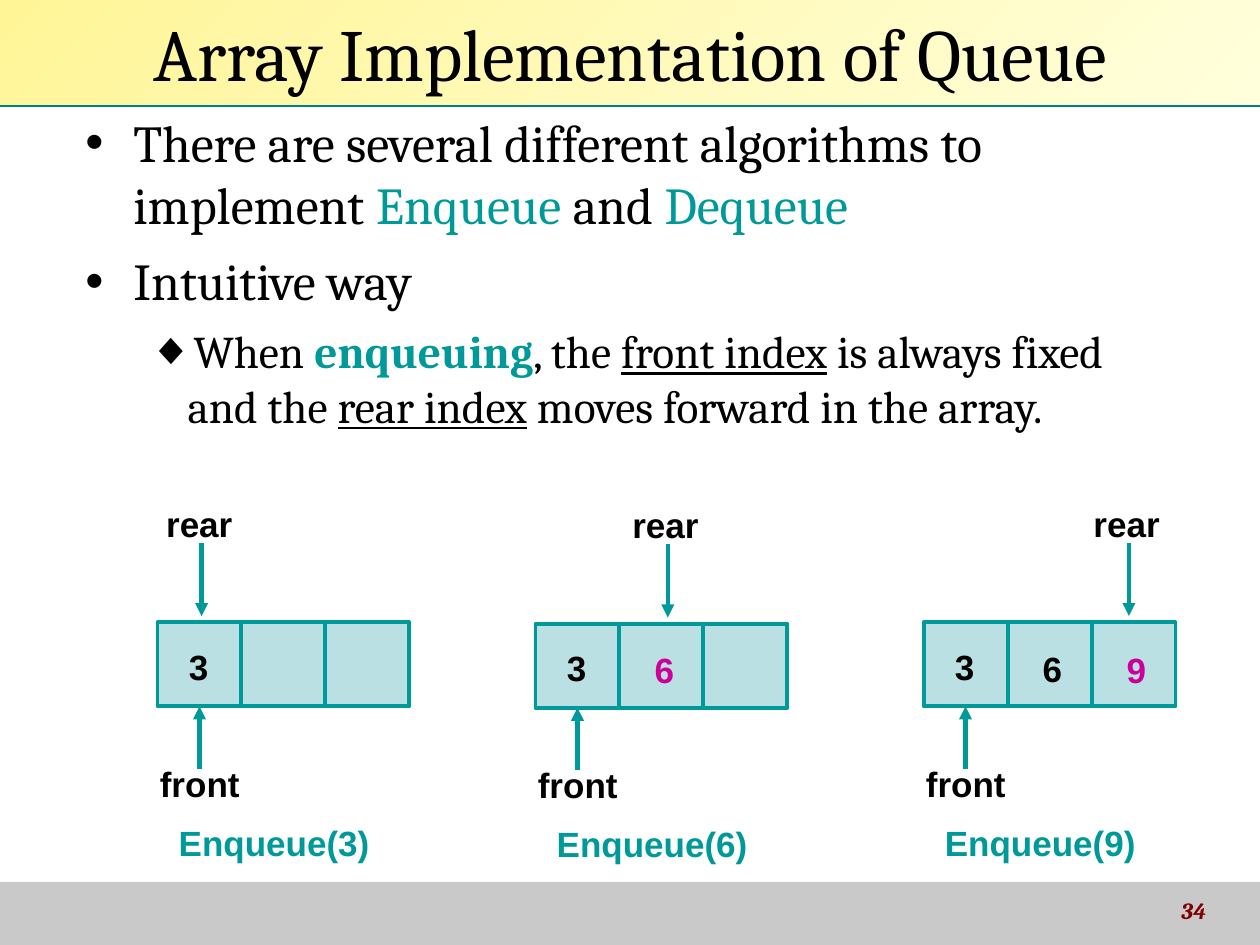
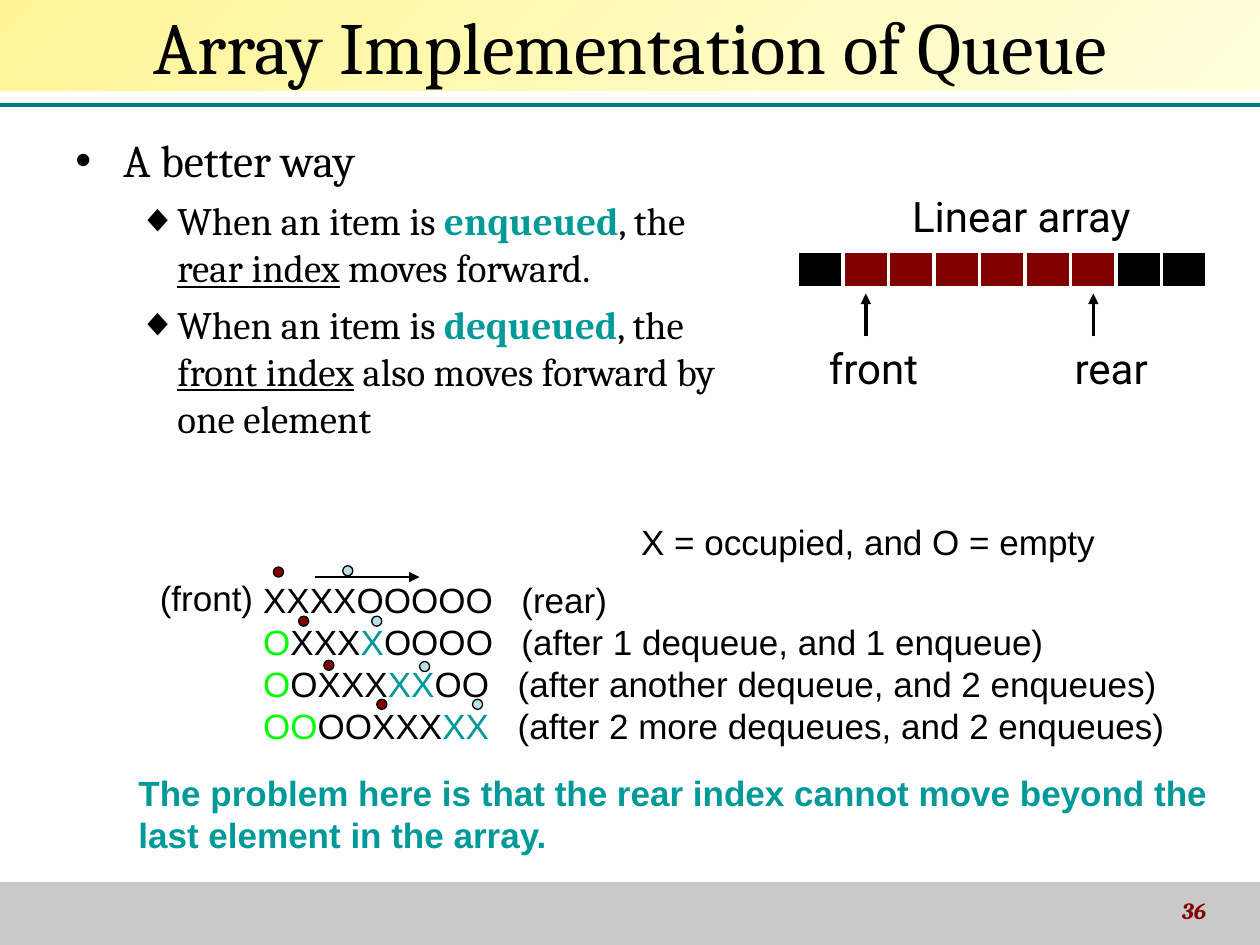
from lxml import etree
from pptx import Presentation
from pptx.dml.color import RGBColor
from pptx.enum import shapes, text
from pptx.oxml.ns import qn
from pptx.util import Inches, Pt

BLACK, WHITE, TEAL, DARK_TEAL = "000000", "FFFFFF", "009999", "008080"
PALE_BLUE, MAROON, GREY = "BBE0E3", "800000", "C9C9C9"
MAGENTA, GREEN = "CC0099", "00FF00"
TITLE_GRADIENT = ("FFF597", "FFFFDC")
SERIF, SANS, LABEL = "Cambria", "Arial", "Roboto"

TITLE = "Array Implementation of Queue"

PLAIN = {}
ACCENT = {"color": TEAL}
STRONG = {"color": TEAL, "bold": True}
UNDERLINED = {"underline": True}
REMOVED = {"color": GREEN}

# Each body paragraph: level, size, space before, runs
INTUITIVE_BODY = [
    (0, 29.6, 0, [("There are several different algorithms to implement ", PLAIN),
                  ("Enqueue", ACCENT), (" and ", PLAIN), ("Dequeue", ACCENT)]),
    (0, 29.6, 8, [("Intuitive way", PLAIN)]),
    (1, 25.9, 7, [("When ", PLAIN), ("enqueuing", STRONG), (", the ", PLAIN),
                  ("front index", UNDERLINED), (" is always fixed and the ", PLAIN),
                  ("rear index", UNDERLINED), (" moves forward in the array.", PLAIN)]),
]
BETTER_BODY = [
    (0, 25.9, 0, [("A better way", PLAIN)]),
    (1, 22.2, 6, [("When an item is ", PLAIN), ("enqueued", STRONG), (", the ", PLAIN),
                  ("rear index", UNDERLINED), (" moves forward.", PLAIN)]),
    (1, 22.2, 6, [("When an item is ", PLAIN), ("dequeued", STRONG), (", the ", PLAIN),
                  ("front index", UNDERLINED),
                  (" also moves forward by one element", PLAIN)]),
]
BULLETS = [("•", 0.38, 0.38), ("◆", 0.81, 0.31)]  # character, margin, hanging indent

# Each queue: left, top, x of the rear arrow, (value, colour) pairs, caption
QUEUES = [
    (1.25, 4.94, 1.6, [("3", BLACK)], "Enqueue(3)"),
    (4.25, 4.95, 5.3, [("3", BLACK), ("6", MAGENTA)], "Enqueue(6)"),
    (7.33, 4.94, 8.96, [("3", BLACK), ("6", BLACK), ("9", MAGENTA)], "Enqueue(9)"),
]
QUEUE_LENGTH = 3
QUEUE_CELL = 2 / 3
VALUE_OFFSETS = [(0.15, 0.13), (0.18, 0.15), (0.18, 0.16)]

LINEAR_COLORS = [BLACK] + [MAROON] * 6 + [BLACK] * 2
LINEAR_LEFT, LINEAR_TOP, LINEAR_HEIGHT = 6.33, 1.99, 0.29
LINEAR_CELL = 3.25 / 9
# Each pointer: cell index, label, label left, label width
POINTERS = [(1, "front", 6.48, 0.98), (6, "rear", 8.43, 0.85)]

QUEUE_STATES = [
    [("XXXXOOOOO\t(rear)", PLAIN)],
    [("O", REMOVED), ("XXX", PLAIN), ("X", ACCENT),
     ("OOOO\t(after 1 dequeue, and 1 enqueue)", PLAIN)],
    [("O", REMOVED), ("OXXX", PLAIN), ("XX", ACCENT),
     ("OO\t(after another dequeue, and 2 enqueues)", PLAIN)],
    [("OO", REMOVED), ("OOXXX", PLAIN), ("XX", ACCENT),
     ("\t(after 2 more dequeues, and 2 enqueues)", PLAIN)],
]
STATE_TABS = [2.05, 2.05, 2.02, 2.02]
# Front and rear marker positions for each state
MARKERS = [((2.17, 4.5), (2.72, 4.49)), ((2.37, 4.89), (2.95, 4.89)),
           ((2.57, 5.24), (3.33, 5.25)), ((2.99, 5.55), (3.75, 5.55))]
PROBLEM = ("The problem here is that the rear index cannot move beyond the "
           "last element in the array.")


def rgb(color):
    return RGBColor.from_string(color)


def add_run(paragraph, content, size, font=SANS, color=BLACK, bold=False,
            italic=False, underline=False):
    run = paragraph.add_run()
    run.text = content
    run.font.name, run.font.size = font, Pt(size)
    run.font.bold, run.font.italic, run.font.underline = bold, italic, underline
    run.font.color.rgb = rgb(color)


def add_text_box(slide, left, top, width, height, wrap=True):
    box = slide.shapes.add_textbox(*map(Inches, (left, top, width, height)))
    box.text_frame.word_wrap = wrap
    return box.text_frame


def add_label(slide, content, left, top, width, height=0.44, size=20, wrap=True, **style):
    frame = add_text_box(slide, left, top, width, height, wrap)
    frame.auto_size = text.MSO_AUTO_SIZE.SHAPE_TO_FIT_TEXT
    add_run(frame.paragraphs[0], content, size, **style)


def paragraphs_for(frame, items):
    """Yield one paragraph of the frame with each item."""
    for index, item in enumerate(items):
        yield frame.add_paragraph() if index else frame.paragraphs[0], item


def add_bullet(paragraph, level):
    character, margin, hanging = BULLETS[level]
    properties = paragraph._p.get_or_add_pPr()
    properties.set("marL", str(Inches(margin)))
    properties.set("indent", str(-Inches(hanging)))
    bullet_color = etree.SubElement(properties, qn("a:buClr"))
    etree.SubElement(bullet_color, qn("a:srgbClr"), val=BLACK)
    etree.SubElement(properties, qn("a:buFont"), typeface=SANS)
    etree.SubElement(properties, qn("a:buChar"), char=character)


def add_tab(paragraph, position):
    tabs = etree.SubElement(paragraph._p.get_or_add_pPr(), qn("a:tabLst"))
    etree.SubElement(tabs, qn("a:tab"), pos=str(Inches(position)), algn="l")


def add_body(slide, body, *place):
    for paragraph, (level, size, before, runs) in paragraphs_for(
            add_text_box(slide, *place), body):
        paragraph.level = level
        paragraph.space_before = Pt(before)
        add_bullet(paragraph, level)
        for content, style in runs:
            add_run(paragraph, content, size, SERIF, **style)


def add_block(slide, left, top, width, height, fill, line=None, weight=0.75,
              kind=shapes.MSO_SHAPE.RECTANGLE):
    block = slide.shapes.add_shape(kind, *map(Inches, (left, top, width, height)))
    block.shadow.inherit = False
    block.fill.solid()
    block.fill.fore_color.rgb = rgb(fill)
    if line:
        block.line.color.rgb = rgb(line)
        block.line.width = Pt(weight)
    else:
        block.line.fill.background()
    return block


def add_line(slide, start, end, color, weight, arrow=True):
    line = slide.shapes.add_connector(shapes.MSO_CONNECTOR.STRAIGHT,
                                      *map(Inches, (*start, *end)))
    line.line.color.rgb = rgb(color)
    line.line.width = Pt(weight)
    if arrow:
        etree.SubElement(line.line._get_or_add_ln(), qn("a:tailEnd"), type="triangle")
    etree.SubElement(line._element.spPr, qn("a:effectLst"))
    return line


def add_base_slide(presentation, number, title_height):
    """Add a slide with the shared title, rule, footer band and page number."""
    slide = presentation.slides.add_slide(presentation.slide_layouts[5])
    add_block(slide, 0, 7, 10, 0.5, GREY)
    add_line(slide, (0, 0.83), (10, 0.83), DARK_TEAL, 2.25, arrow=False)

    frame = add_text_box(slide, 7.67, 7.07, 2, 0.35)
    frame.vertical_anchor = text.MSO_ANCHOR.MIDDLE
    paragraph = frame.paragraphs[0]
    paragraph.alignment = text.PP_ALIGN.RIGHT
    paragraph.line_spacing = 0.8
    add_run(paragraph, str(number), 13.2, SERIF, MAROON, bold=True, italic=True)

    title = slide.shapes.title
    title.left, title.top = 0, 0
    title.width, title.height = Inches(10), Inches(title_height)
    title.fill.gradient()
    title.fill.gradient_angle = 315
    for stop, position, color in zip(title.fill.gradient_stops, (0, 1), TITLE_GRADIENT):
        stop.position = position
        stop.color.rgb = rgb(color)
    title.text_frame.auto_size = text.MSO_AUTO_SIZE.NONE
    title.text_frame.vertical_anchor = text.MSO_ANCHOR.MIDDLE
    paragraph = title.text_frame.paragraphs[0]
    paragraph.alignment = text.PP_ALIGN.CENTER
    add_run(paragraph, TITLE, 42, SERIF)
    slide.shapes._spTree.append(title._element)  # title covers the upper half of the rule
    return slide


def add_queue(slide, left, top, rear, values, caption):
    cells = [add_block(slide, left + index * QUEUE_CELL, top, QUEUE_CELL, QUEUE_CELL,
                       PALE_BLUE, TEAL, 2.25) for index in range(QUEUE_LENGTH)]
    front, bottom = left + QUEUE_CELL / 2, top + QUEUE_CELL
    add_label(slide, "front", left - 0.08, top + 1.06, 1.08, bold=True)
    front_arrow = add_line(slide, (front, top + 1.16), (front, bottom), TEAL, 2.5)
    front_arrow.end_connect(cells[0], 2)
    add_label(slide, "rear", rear - 0.38, top - 1, 1.08, bold=True)
    add_line(slide, (rear, top - 0.63), (rear, top - 0.05), TEAL, 2.5)
    add_label(slide, caption, left + 0.07, top + 1.53, 1.93, **STRONG)
    for index, (value, color) in enumerate(values):
        across, down = VALUE_OFFSETS[index]
        add_label(slide, value, left + index * QUEUE_CELL + across, top + down, 0.33,
                  wrap=False, color=color, bold=True)


def add_linear_array(slide):
    add_label(slide, "Linear array", 7.14, 1.46, 2.08, 0.5, 24, wrap=False, font=LABEL)
    for index, color in enumerate(LINEAR_COLORS):
        add_block(slide, LINEAR_LEFT + index * LINEAR_CELL, LINEAR_TOP, LINEAR_CELL,
                  LINEAR_HEIGHT, color, WHITE, 2)
    for index, name, left, width in POINTERS:
        center = LINEAR_LEFT + (index + 0.5) * LINEAR_CELL
        add_line(slide, (center, 2.67), (center, 2.33), BLACK, 2)
        add_label(slide, name, left, 2.67, width, 0.5, 24, wrap=False, font=LABEL)


def add_queue_states(slide):
    frame = add_text_box(slide, 1.99, 4.54, 7.5, 1.44)
    for paragraph, (runs, tab) in paragraphs_for(frame, zip(QUEUE_STATES, STATE_TABS)):
        add_tab(paragraph, tab)
        for content, style in runs:
            add_run(paragraph, content, 20, **style)
    add_label(slide, "(front)", 1.17, 4.53, 0.94, wrap=False)
    add_label(slide, "X = occupied, and O = empty", 4.99, 4.08, 4.1)
    add_line(slide, (2.5, 4.58), (3.33, 4.58), BLACK, 0.75)
    for pair in MARKERS:
        for (left, top), color in zip(pair, (MAROON, PALE_BLUE)):
            add_block(slide, left, top, 0.08, 0.08, color, BLACK,
                      kind=shapes.MSO_SHAPE.OVAL)


def main():
    presentation = Presentation()
    presentation.slide_width, presentation.slide_height = Inches(10), Inches(7.5)

    intuitive = add_base_slide(presentation, 34, 0.83)
    add_body(intuitive, INTUITIVE_BODY, 0.58, 0.83, 8.58, 3.25)
    for queue in QUEUES:
        add_queue(intuitive, *queue)

    better = add_base_slide(presentation, 36, 0.72)
    add_body(better, BETTER_BODY, 0.5, 1, 5.42, 2.92)
    add_queue_states(better)
    add_label(better, PROBLEM, 1, 6.07, 8.75, 0.77, **STRONG)
    add_linear_array(better)

    presentation.save("out.pptx")


if __name__ == "__main__":
    main()
